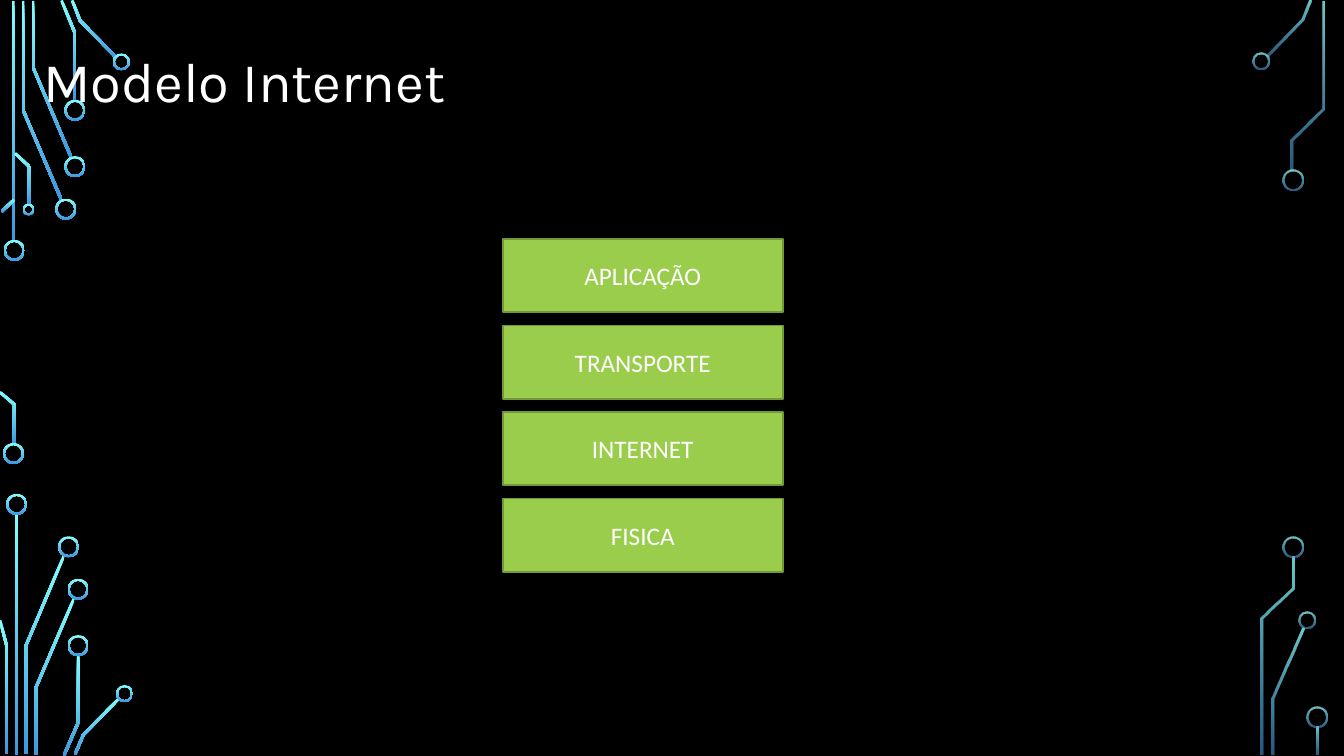
from dataclasses import dataclass
from itertools import pairwise

from lxml import etree
from pptx import Presentation
from pptx import util as u
from pptx.dml import color
from pptx.enum import shapes, text
from pptx.oxml import ns

Point = tuple[float, float]
WIDTH = 0.07  # of a trace, cm
RIM = 0.05  # of a ring, cm
BIG, MID, TINY = 0.53, 0.43, 0.3  # ring sizes, cm


@dataclass
class Trace:
    points: list[Point]


@dataclass
class Ring:
    x: float  # centre
    y: float
    size: float = BIG


@dataclass
class Bar:
    x: float
    y: float
    height: float


@dataclass
class Circuit:
    bars: list[Bar]
    traces: list[Trace]
    rings: list[Ring]
    alphas: tuple[int, int] = (100, 100)  # percent, top and bottom


LEFT = Circuit(
    bars=[Bar(0.3, 0.03, 6.07), Bar(0.38, 12.95, 6.07)],
    traces=[
        Trace([(1.55, 5.04), (0.58, 2.77), (0.58, 0.03)]),
        Trace([(1.8, 3.98), (0.83, 1.69), (0.83, 0.03)]),
        Trace([(1.89, 2.54), (1.89, 0.84), (1.55, 0.01)]),
        Trace([(2.93, 1.45), (2.02, 0.52), (1.82, 0.01)]),
        Trace([(0.04, 5.33), (0.36, 5.03)]),
        Trace([(0.36, 11.2), (0.36, 10.19), (0, 9.88)]),
        Trace([(0.74, 5.16), (0.74, 4.2), (0.38, 3.86)]),
        Trace([(0.65, 19), (0.65, 16.28), (1.61, 14.01)]),
        Trace([(0.17, 19), (0.17, 16.28), (0, 15.63)]),
        Trace([(0.9, 19.02), (0.9, 17.34), (1.87, 15.07)]),
        Trace([(1.61, 19.04), (1.97, 18.21), (1.97, 16.51)]),
        Trace([(1.89, 19.01), (2.1, 18.52), (3, 17.6)]),
    ],
    rings=[
        Ring(0.36, 6.31), Ring(0.34, 11.43), Ring(1.66, 5.27),
        Ring(1.89, 4.2), Ring(1.89, 2.78), Ring(3.06, 1.56, MID),
        Ring(0.72, 5.28, TINY), Ring(0.42, 12.71), Ring(1.73, 13.78),
        Ring(1.97, 14.85), Ring(1.97, 16.27), Ring(3.14, 17.48, MID),
    ],
)
RIGHT = Circuit(
    bars=[Bar(33.17, 18.31, 0.71)],
    traces=[
        Trace([(31.93, 1.41), (32.83, 0.5), (33.03, 0.01)]),
        Trace([(32.07, 19.02), (32.07, 17.61), (32.84, 15.84)]),
        Trace([(32.56, 4.29), (32.56, 3.52), (33.34, 2.73), (33.34, 0.03)]),
        Trace([(31.81, 19.02), (31.81, 15.58), (32.6, 14.82), (32.6, 14.02)]),
    ],
    rings=[
        Ring(31.79, 1.54, MID), Ring(32.58, 4.53), Ring(32.93, 15.63, MID),
        Ring(32.59, 13.78), Ring(33.18, 18.08),
    ],
    alphas=(80, 60),
)
LAYERS = ["APLICAÇÃO", "TRANSPORTE", "INTERNET", "FISICA"]


def rgb(code: str) -> color.RGBColor:
    return color.RGBColor.from_string(code)


def glow(shape, alphas: tuple[int, int]) -> None:
    """Fill from light at the top to dark at the bottom."""
    shape.shadow.inherit = False
    shape.line.fill.background()
    shape.fill.gradient()
    shape.fill.gradient_angle = 270
    hues = ("82FFFF", "3D97DE")
    for stop, place, hue in zip(shape.fill.gradient_stops, (0, 1), hues):
        stop.position = place
        stop.color.rgb = rgb(hue)
    tags = shape.fill._xPr.iter(ns.qn("a:srgbClr"))
    for tag, alpha in zip(tags, alphas):
        if alpha < 100:
            etree.SubElement(tag, ns.qn("a:alpha"), val=str(alpha * 1000))


def outline(trace: Trace) -> list[Point]:
    """Widen a centre line into a band with mitred corners."""
    spots = [complex(x, y) for x, y in trace.points]
    sides = [1j * (b - a) / abs(b - a) for a, b in pairwise(spots)]
    shifts = []
    for a, b in pairwise([sides[0], *sides, sides[-1]]):
        dot = (a * b.conjugate()).real
        shifts.append(WIDTH / 2 * (a + b) / (1 + dot))
    near = [p + s for p, s in zip(spots, shifts)]
    far = [p - s for p, s in zip(spots, shifts)]
    return [(u.Cm(p.real), u.Cm(p.imag)) for p in near + far[::-1]]


def draw(slide, circuit: Circuit) -> None:
    parts = slide.shapes
    for bar in circuit.bars:
        shape = parts.add_shape(shapes.MSO_SHAPE.RECTANGLE, u.Cm(bar.x),
                                u.Cm(bar.y), u.Cm(WIDTH), u.Cm(bar.height))
        glow(shape, circuit.alphas)
    for trace in circuit.traces:
        first, *rest = outline(trace)
        pen = parts.build_freeform(*first)
        pen.add_line_segments(rest)
        glow(pen.convert_to_shape(), circuit.alphas)
    for ring in circuit.rings:
        size = u.Cm(ring.size)
        shape = parts.add_shape(
            shapes.MSO_SHAPE.DONUT, u.Cm(ring.x - ring.size / 2),
            u.Cm(ring.y - ring.size / 2), size, size)
        shape.adjustments[0] = RIM / ring.size
        glow(shape, circuit.alphas)


def write(shape, words: str, face: str, size: int) -> None:
    shape.text_frame.text = words
    font = shape.text_frame.paragraphs[0].runs[0].font
    font.name, font.size = face, u.Pt(size)
    font.color.rgb = rgb("FFFFFF")


def stack(slide, layers: list[str]) -> None:
    for row, name in enumerate(layers):
        box = slide.shapes.add_shape(
            shapes.MSO_SHAPE.RECTANGLE, u.Cm(12.67), u.Cm(6.02 + 2.18 * row),
            u.Cm(7.06), u.Cm(1.85))
        box.shadow.inherit = False
        box.fill.solid()
        box.fill.fore_color.rgb = rgb("9ACD4C")
        box.line.color.rgb = rgb("729838")
        box.line.width = u.Pt(1.25)
        write(box, name, "Calibri", 18)
        box.text_frame.vertical_anchor = text.MSO_ANCHOR.MIDDLE
        box.text_frame.paragraphs[0].alignment = text.PP_ALIGN.CENTER


def main() -> None:
    deck = Presentation()
    deck.slide_width, deck.slide_height = u.Cm(33.87), u.Cm(19.05)
    slide = deck.slides.add_slide(deck.slide_layouts[6])
    slide.background.fill.solid()
    slide.background.fill.fore_color.rgb = rgb("000000")

    # Circuit lines at both edges
    for circuit in (LEFT, RIGHT):
        draw(slide, circuit)

    # Title
    title = slide.shapes.add_textbox(u.Cm(0.84), u.Cm(1.04),
                                     u.Cm(10.69), u.Cm(1.96))
    write(title, "Modelo Internet", "Karla", 40)
    title.text_frame.word_wrap = False
    title.text_frame.auto_size = text.MSO_AUTO_SIZE.SHAPE_TO_FIT_TEXT

    # Layers of the model
    stack(slide, LAYERS)
    deck.save("out.pptx")


if __name__ == "__main__":
    main()
